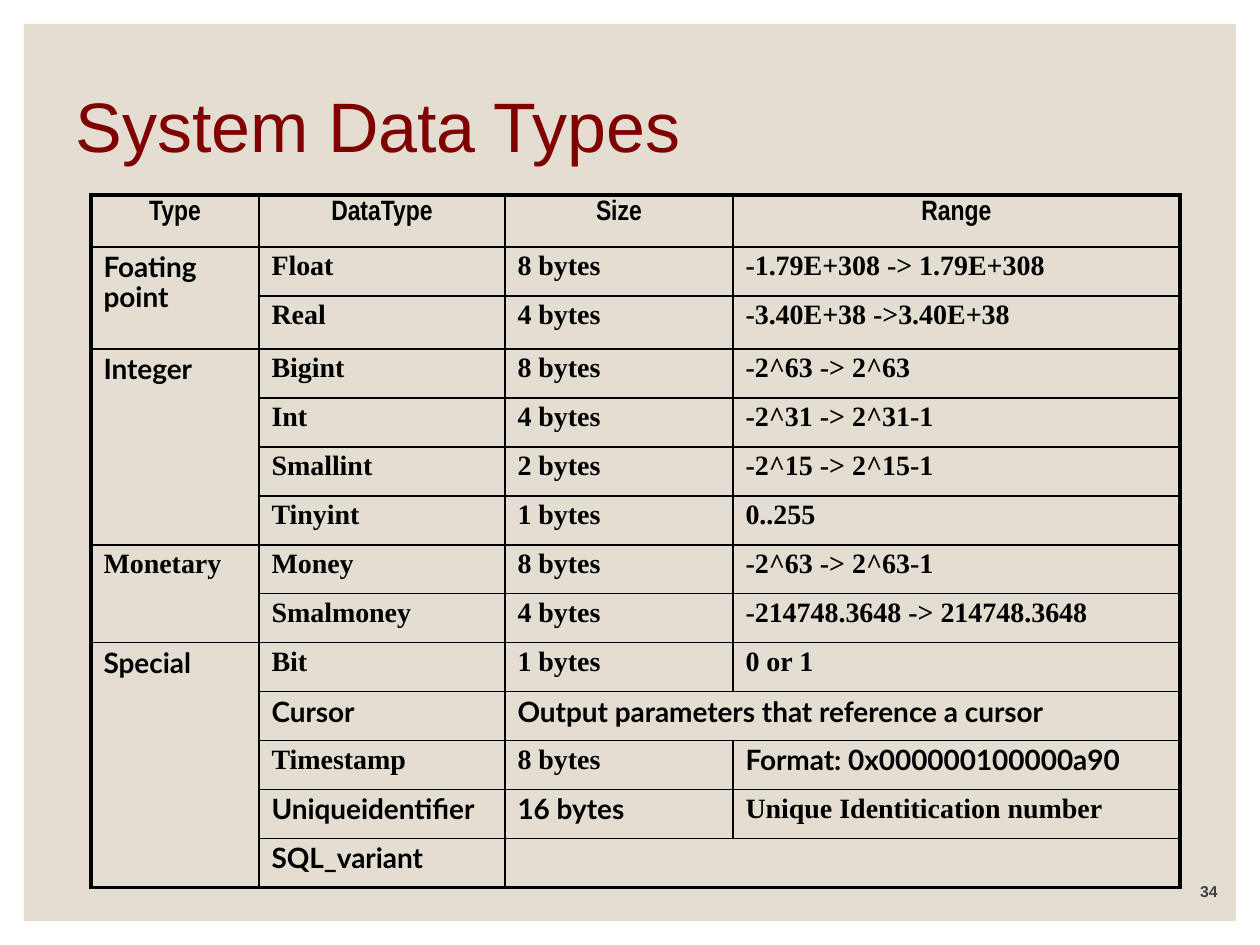
from dataclasses import dataclass

from lxml.etree import SubElement
from pptx import Presentation
from pptx.dml.color import RGBColor
from pptx.enum.shapes import MSO_SHAPE
from pptx.enum.text import MSO_ANCHOR, PP_ALIGN
from pptx.oxml.ns import qn
from pptx.util import Emu, Pt

PX_PER_INCH = 126


@dataclass(frozen=True)
class Theme:
    panel: str = "E3DED1"
    title: str = "800000"
    ink: str = "000000"
    page_number: str = "404040"
    sans: str = "Arial"
    header_font: str = "Arial Narrow"
    label_font: str = "Lato"
    body_font: str = "Times New Roman"
    title_size: int = 40
    table_size: int = 16
    number_size: int = 9
    outer_line: float = 2.25
    inner_line: float = 1


THEME = Theme()

HEADER = ("Type", "DataType", "Size", "Range")
# Each type with its (data type, size, range) rows; None joins the cell to its left
GROUPS = (
    ("Foating point", (
        ("Float", "8 bytes", "-1.79E+308 -> 1.79E+308"),
        ("Real", "4 bytes", "-3.40E+38 ->3.40E+38"),
    )),
    ("Integer", (
        ("Bigint", "8 bytes", "-2^63 -> 2^63"),
        ("Int", "4 bytes", "-2^31 -> 2^31-1"),
        ("Smallint", "2 bytes", "-2^15 -> 2^15-1"),
        ("Tinyint", "1 bytes", "0..255"),
    )),
    ("Monetary", (
        ("Money", "8 bytes", "-2^63 -> 2^63-1"),
        ("Smalmoney", "4 bytes", "-214748.3648 -> 214748.3648"),
    )),
    ("Special", (
        ("Bit", "1 bytes", "0 or 1"),
        ("Cursor", "Output parameters that reference a cursor", None),
        ("Timestamp", "8 bytes", "Format: 0x000000100000a90"),
        ("Uniqueidentifier", "16 bytes", "Unique Identitication number"),
        ("SQL_variant", "", None),
    )),
)
LABEL_FONT_TEXTS = {
    "Foating point", "Integer", "Special", "Cursor", "Uniqueidentifier",
    "SQL_variant", "16 bytes", "Output parameters that reference a cursor",
    "Format: 0x000000100000a90",
}
COLUMN_WIDTHS = (168, 246, 228, 447)
ROW_HEIGHTS = (52, 49, 53) + (49,) * 11


def px(length):
    return Emu(round(length * 914400 / PX_PER_INCH))


def box(left, top, width, height):
    return [px(length) for length in (left, top, width, height)]


def write(frame, text, font, size, color, bold=False, align=PP_ALIGN.LEFT):
    paragraph = frame.paragraphs[0]
    paragraph.text = text
    paragraph.alignment = align
    paragraph.line_spacing = 0.9
    for run in paragraph.runs:
        run.font.name = font
        run.font.size = Pt(size)
        run.font.bold = bold
        run.font.color.rgb = RGBColor.from_string(color)


def add_panel(slide):
    panel = slide.shapes.add_shape(MSO_SHAPE.RECTANGLE, *box(24, 24, 1212, 897))
    panel.shadow.inherit = False
    panel.fill.solid()
    panel.fill.fore_color.rgb = RGBColor.from_string(THEME.panel)
    panel.line.fill.background()
    # Behind the title placeholder
    slide.shapes._spTree.insert(2, panel._element)


def set_title(slide, text):
    title = slide.shapes.title
    title.left, title.top, title.width, title.height = box(63, 35, 1134, 189)
    title.text_frame.vertical_anchor = MSO_ANCHOR.MIDDLE
    write(title.text_frame, text, THEME.sans, THEME.title_size, THEME.title)


def add_page_number(slide, number):
    frame = slide.shapes.add_textbox(*box(1079, 869, 151, 38)).text_frame
    frame.word_wrap = True
    frame.vertical_anchor = MSO_ANCHOR.BOTTOM
    write(frame, number, THEME.sans, THEME.number_size, THEME.page_number,
          bold=True, align=PP_ALIGN.RIGHT)


def set_borders(cell, row, column):
    bottom = row + (cell.span_height if cell.is_merge_origin else 1)
    right = column + (cell.span_width if cell.is_merge_origin else 1)
    outer_edges = {
        "a:lnL": column == 0,
        "a:lnR": right == len(COLUMN_WIDTHS),
        "a:lnT": row == 0,
        "a:lnB": bottom == len(ROW_HEIGHTS),
    }
    properties = cell._tc.get_or_add_tcPr()
    for tag, is_outer in outer_edges.items():
        width = THEME.outer_line if is_outer else THEME.inner_line
        line = SubElement(properties, qn(tag), w=str(Pt(width)))
        fill = SubElement(line, qn("a:solidFill"))
        SubElement(fill, qn("a:srgbClr"), val=THEME.ink)


def fill_cell(cell, text, is_header):
    if not text:
        # Keeps an empty cell from stretching its row
        end = cell.text_frame.paragraphs[0]._p.get_or_add_endParaRPr()
        end.set("sz", str(THEME.table_size * 100))
        return
    if is_header:
        font = THEME.header_font
    else:
        font = THEME.label_font if text in LABEL_FONT_TEXTS else THEME.body_font
    write(cell.text_frame, text, font, THEME.table_size, THEME.ink, bold=True,
          align=PP_ALIGN.CENTER if is_header else PP_ALIGN.LEFT)


def merge_cells(table, rows):
    first = 1
    for _, members in GROUPS:
        last = first + len(members) - 1
        table.cell(first, 0).merge(table.cell(last, 0))
        first = last + 1
    for index, texts in enumerate(rows):
        if texts[3] is None:
            table.cell(index, 2).merge(table.cell(index, 3))


def add_type_table(slide):
    rows = [HEADER]
    for kind, members in GROUPS:
        for index, member in enumerate(members):
            rows.append((kind if index == 0 else None, *member))

    table = slide.shapes.add_table(
        len(rows), len(HEADER),
        *box(91, 195, sum(COLUMN_WIDTHS), sum(ROW_HEIGHTS))).table
    table.first_row = table.horz_banding = False
    for column, width in zip(table.columns, COLUMN_WIDTHS):
        column.width = px(width)
    for row, height in zip(table.rows, ROW_HEIGHTS):
        row.height = px(height)

    merge_cells(table, rows)
    for row, texts in enumerate(rows):
        for column, text in enumerate(texts):
            cell = table.cell(row, column)
            fill_cell(cell, text, is_header=row == 0)
            set_borders(cell, row, column)
            cell.fill.background()


def main():
    presentation = Presentation()
    presentation.slide_width = px(1260)
    presentation.slide_height = px(945)
    slide = presentation.slides.add_slide(presentation.slide_layouts[5])
    add_panel(slide)
    set_title(slide, "System Data Types")
    add_page_number(slide, "34")
    add_type_table(slide)
    presentation.save("out.pptx")


if __name__ == "__main__":
    main()
